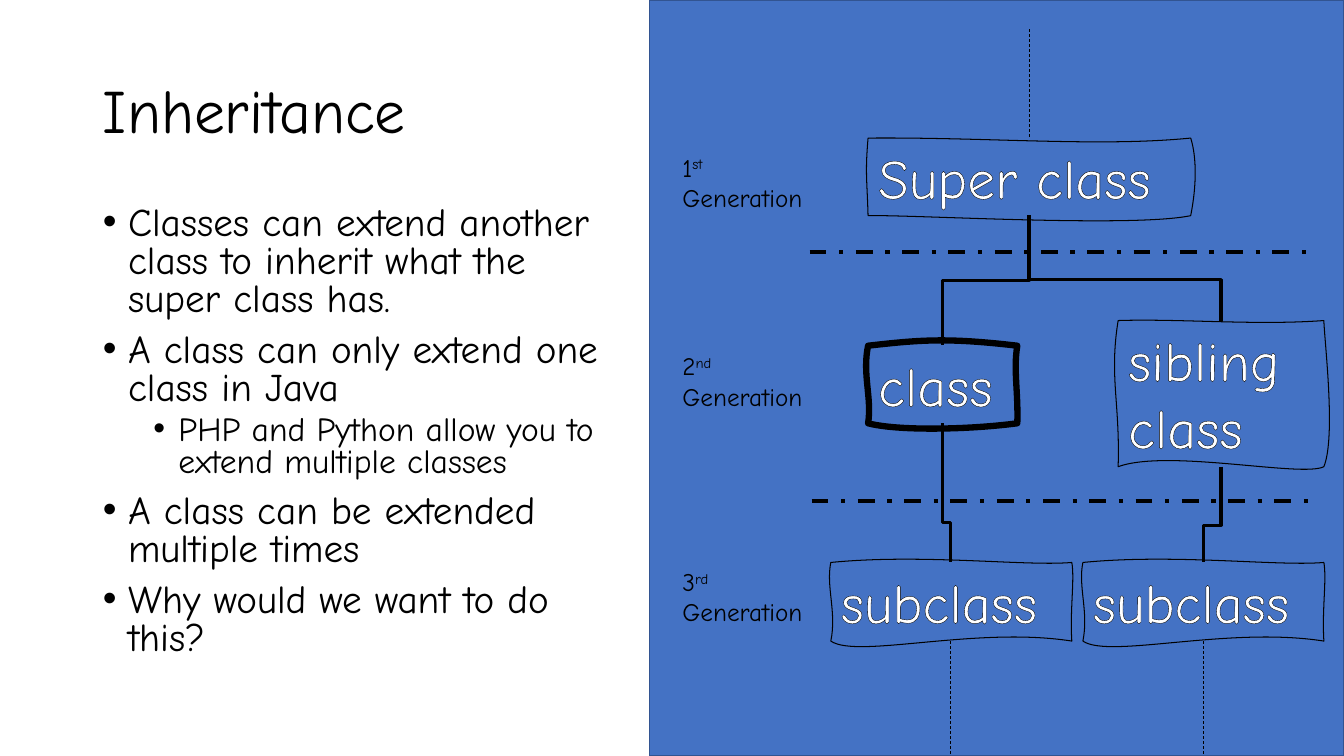
from pptx import Presentation
from pptx.dml.color import RGBColor
from pptx.enum.dml import MSO_LINE as Dash
from pptx.enum.shapes import MSO_CONNECTOR as Link, MSO_SHAPE as Preset
from pptx.enum.text import MSO_ANCHOR as Anchor, MSO_AUTO_SIZE as AutoSize, PP_ALIGN as Align
from pptx.oxml.ns import qn
from pptx.util import Pt
from lxml.etree import SubElement

PX = 9144  # 100 px to the inch
FONT = "Comic Neue"
BLACK, WHITE, BLUE, NAVY = "000000", "FFFFFF", "4472C4", "325491"

# Two control points for each edge: top, right, bottom, left
CLASS_WAVE = [((53, -6), (79, -8)), ((144, 24), (149, 45)),
              ((103, 83), (31, 85)), ((4, 52), (-6, 28))]
SUPER_WAVE = [((121, -1), (229, 9)), ((326, 19), (326, 47)),
              ((263, 89), (45, 76)), ((-1, 41), (-3, 35))]
SIBLING_WAVE = [((62, -2), (137, 5)), ((205, 24), (216, 116)),
                ((183, 156), (49, 127)), ((2, 81), (-9, 56))]
SUBCLASS_WAVE = [((91, -9), (193, 4)), ((242, 17), (237, 47)),
                 ((144, 63), (26, 96)), ((6, 49), (-5, 24))]

BULLETS = [
    (0, "Classes can extend another class to inherit what the super class has."),
    (0, "A class can only extend one class in Java"),
    (1, "PHP and Python allow you to extend multiple classes"),
    (0, "A class can be extended multiple times"),
    (0, "Why would we want to do this?"),
]


def px(*lengths):
    return [length * PX for length in lengths]


def color(value):
    return RGBColor.from_string(value)


def add_span(para, text, size, ink=BLACK):
    span = para.add_run()
    span.text = text
    span.font.name = FONT
    span.font.size = Pt(size)
    span.font.color.rgb = color(ink)
    return span


def style_line(line, width, ink=BLACK, dash=None):
    line.color.rgb = color(ink)
    line.width = Pt(width)
    if dash:
        line.dash_style = dash


def place(shape, *box):
    shape.left, shape.top, shape.width, shape.height = px(*box)


def add_panel(page):
    panel = page.shapes.add_shape(Preset.RECTANGLE, *px(644, 0, 689, 750))
    panel.shadow.inherit = False
    panel.fill.solid()
    panel.fill.fore_color.rgb = color(BLUE)
    style_line(panel.line, 1, NAVY)


def fill_title(title, text):
    place(title, 92, 40, 620, 145)
    frame = title.text_frame
    frame.auto_size = AutoSize.NONE
    frame.vertical_anchor = Anchor.MIDDLE
    para = frame.paragraphs[0]
    para.alignment = Align.LEFT
    para.line_spacing = 0.9
    add_span(para, text, 44)


def fill_bullets(body, items):
    place(body, 92, 200, 539, 476)
    frame = body.text_frame
    frame.auto_size = AutoSize.NONE
    for index, (level, text) in enumerate(items):
        para = frame.add_paragraph() if index else frame.paragraphs[0]
        para.level = level
        props = para._p.get_or_add_pPr()
        props.set("marL", str(px(25 + 50 * level)[0]))
        props.set("indent", str(px(-25)[0]))
        SubElement(props, qn("a:buFont"), typeface="Arial")
        SubElement(props, qn("a:buChar"), char="•")
        para.line_spacing = 0.8
        para.space_before = Pt((5 if level else 10) if index else 0)
        para.space_after = Pt(0)
        add_span(para, text, 24 if level else 28)


def add_banner(page, box, wave, lines, weight=0.75):
    """Draw an unfilled box with wavy edges and outlined text."""
    left, top, width, height = box
    corners = [(width, 0), (width, height), (0, height), (0, 0)]
    builder = page.shapes.build_freeform(left, top, scale=PX)
    builder.add_line_segments([(left + x, top + y) for x, y in corners])
    banner = builder.convert_to_shape()
    edges = list(banner._element.iter(qn("a:lnTo")))
    for edge, controls, corner in zip(edges, wave, corners):
        edge.clear()
        edge.tag = qn("a:cubicBezTo")
        for x, y in (*controls, corner):
            SubElement(edge, qn("a:pt"), x=str(x), y=str(y))
    banner.shadow.inherit = False
    banner.fill.background()
    style_line(banner.line, weight)

    frame = banner.text_frame
    frame.word_wrap = True
    frame.vertical_anchor = Anchor.TOP
    for index, text in enumerate(lines):
        para = frame.add_paragraph() if index else frame.paragraphs[0]
        para.alignment = Align.LEFT
        props = add_span(para, text, 40, WHITE)._r.get_or_add_rPr()
        outline = SubElement(props, qn("a:ln"), w=str(Pt(1.5)))
        solid = SubElement(outline, qn("a:solidFill"))
        SubElement(solid, qn("a:srgbClr"), val=BLACK)
        props.insert(0, outline)


def add_line(page, kind, start, end, width, dash=None):
    line = page.shapes.add_connector(kind, *px(*start, *end))
    style_line(line.line, width, dash=dash)
    SubElement(line._element.spPr, qn("a:effectLst"))
    return line


def add_branch(page, start, end, bend=0.5):
    """Join two points by an elbow that leaves and arrives vertically."""
    (x1, y1), (x2, y2) = start, end
    run, drop = abs(x2 - x1), y2 - y1
    left, top = (x1 + x2 - drop) // 2, (y1 + y2 - run) // 2
    near, far = (left, left + drop) if x2 < x1 else (left + drop, left)
    branch = add_line(page, Link.ELBOW, (near, top), (far, top + run), 2.25)
    branch._element.spPr.xfrm.set("rot", str((90 if x2 < x1 else 270) * 60000))
    geometry = branch._element.spPr.find(qn("a:prstGeom"))
    SubElement(geometry.get_or_add_avLst(), qn("a:gd"), name="adj1",
               fmla=f"val {round(bend * 100000)}")


def add_generation(page, top, number, suffix):
    box = page.shapes.add_textbox(*px(667, top, 149, 71))
    box.text_frame.word_wrap = True
    para = box.text_frame.paragraphs[0]
    add_span(para, number, 18)
    add_span(para, suffix, 18)._r.get_or_add_rPr().set("baseline", "30000")
    add_span(para, " Generation", 18)


def main():
    deck = Presentation()
    deck.slide_width, deck.slide_height = px(1333, 750)
    page = deck.slides.add_slide(deck.slide_layouts[1])
    add_panel(page)
    fill_title(page.shapes.title, "Inheritance")
    fill_bullets(page.placeholders[1], BULLETS)

    add_banner(page, (861, 343, 148, 77), CLASS_WAVE, ["class"], 4.5)
    add_banner(page, (861, 137, 320, 77), SUPER_WAVE, ["Super class"])
    add_banner(page, (1109, 318, 204, 145), SIBLING_WAVE, ["sibling", "class"])
    for left in (824, 1074):
        add_banner(page, (left, 558, 239, 78), SUBCLASS_WAVE, ["subclass"])

    add_branch(page, (1021, 214), (935, 343))
    add_branch(page, (1021, 214), (1211, 318), 0.61)
    add_branch(page, (935, 420), (943, 558), 0.71)
    add_branch(page, (1211, 463), (1194, 558), 0.61)

    for left, y in ((803, 250), (805, 497)):
        add_line(page, Link.STRAIGHT, (left, y), (left + 497, y), 3, Dash.DASH_DOT)
    for x, top, bottom in ((1021, 29, 137), (943, 636, 750), (1194, 636, 750)):
        add_line(page, Link.STRAIGHT, (x, top), (x, bottom), 0.5, Dash.DASH)

    for top, number, suffix in ((146, "1", "st"), (343, "2", "nd"), (557, "3", "rd")):
        add_generation(page, top, number, suffix)
    deck.save("out.pptx")


if __name__ == "__main__":
    main()
